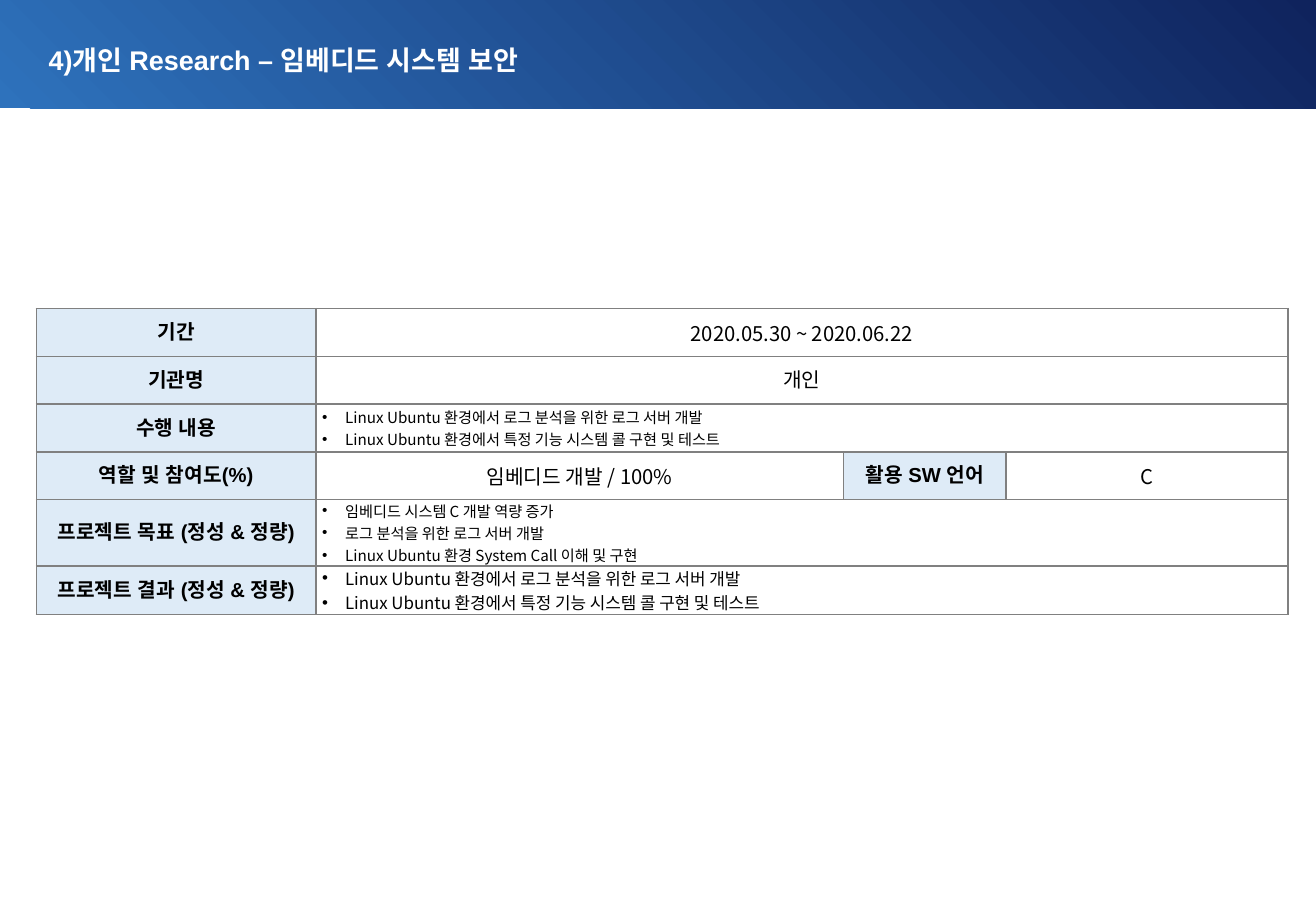
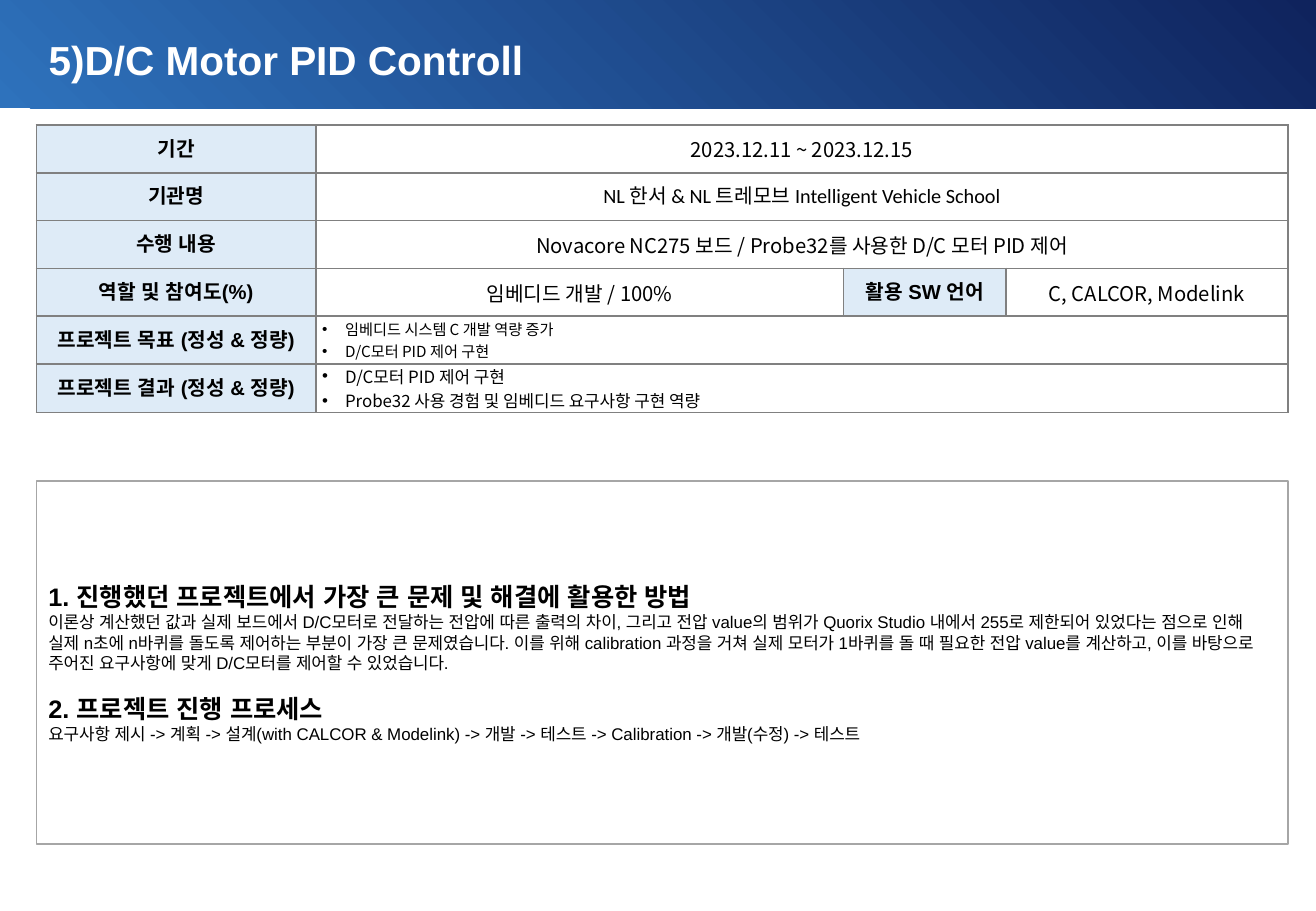
from dataclasses import dataclass

from lxml import etree
from pptx import Presentation
from pptx.dml.color import RGBColor
from pptx.enum.shapes import MSO_SHAPE
from pptx.enum.text import MSO_ANCHOR, MSO_AUTO_SIZE, PP_ALIGN
from pptx.oxml.ns import qn
from pptx.util import Inches, Pt

RECT = MSO_SHAPE.RECTANGLE
MID = MSO_ANCHOR.MIDDLE
FIXED = MSO_AUTO_SIZE.NONE
LEFT, CENTER, FULL = PP_ALIGN.LEFT, PP_ALIGN.CENTER, PP_ALIGN.JUSTIFY

WIDE, HIGH = 10.83, 7.5
EDGE = 0.3
COLS = (2.3, 4.34, 1.34, 2.32)
ROW = 2.36 / 6


@dataclass(frozen=True)
class Theme:
    light: str = "2E72BC"
    dark: str = "0F235D"
    head: str = "DEEBF7"
    white: str = "FFFFFF"
    black: str = "000000"
    grid: str = "808080"
    frame: str = "A6A6A6"
    main: str = "Arial"
    cell: str = "Noto Sans CJK KR"
    alt: str = "Calibri"
    label: int = 12
    topic: int = 15
    note: int = 10
    small: int = 9


THEME = Theme()


def rgb(code):
    return RGBColor.from_string(code)


def put(item, **vals):
    for name, val in vals.items():
        setattr(item, name, val)


class Deck:
    def __init__(self, theme):
        self.theme = theme
        self.prs = Presentation()
        put(self.prs, slide_width=Inches(WIDE), slide_height=Inches(HIGH))
        self.base = self.prs.slide_layouts[5]
        put(self.base.placeholders[0], left=Inches(EDGE), top=Inches(0.21),
            width=Inches(8.58), height=Inches(0.56))
        self.slide = None

    def page(self, title, size):
        """Start a slide with its title."""
        self.slide = self.prs.slides.add_slide(self.base)
        if len(self.prs.slides) == 1:
            self.band()
        frame = self.slide.shapes.title.text_frame
        put(frame, word_wrap=True, auto_size=FIXED, vertical_anchor=MID)
        para = frame.paragraphs[0]
        para.alignment = LEFT
        self.text(para, title, size, bold=True, color=self.theme.white)

    def band(self):
        """Draw the header band and move it into the shared layout."""
        band = self.slide.shapes.add_shape(RECT, 0, 0, Inches(WIDE), Inches(0.89))
        band.shadow.inherit = False
        band.line.fill.background()
        band.fill.gradient()
        band.fill.gradient_angle = 45
        for stop, code in zip(band.fill.gradient_stops,
                              (self.theme.light, self.theme.dark)):
            stop.color.rgb = rgb(code)
        self.base.shapes.element.insert(2, band.element)

    def text(self, para, words, size, font=None, bold=False, color=None):
        """Add a run whose Latin and East Asian fonts agree."""
        font = font or self.theme.main
        run = para.add_run()
        run.text = words
        put(run.font, size=Pt(size), name=font, bold=bold)
        run.font.color.rgb = rgb(color or self.theme.black)
        east = etree.SubElement(run._r.get_or_add_rPr(), qn("a:ea"))
        east.set("typeface", font)

    def bullet(self, para):
        para.alignment = FULL
        props = para._p.get_or_add_pPr()
        props.set("marL", str(Inches(0.19)))
        props.set("indent", str(-Inches(0.19)))
        etree.SubElement(props, qn("a:buFont")).set("typeface", self.theme.main)
        etree.SubElement(props, qn("a:buChar")).set("char", "•")

    def style(self, cell, fill):
        """Give a cell its borders, fill and margins."""
        props = cell._tc.get_or_add_tcPr()
        for side in ("lnL", "lnR", "lnT", "lnB"):
            line = etree.SubElement(props, qn(f"a:{side}"), w=str(Pt(1)))
            paint = etree.SubElement(line, qn("a:solidFill"))
            etree.SubElement(paint, qn("a:srgbClr"), val=self.theme.grid)
        cell.fill.solid()
        cell.fill.fore_color.rgb = rgb(fill)
        put(cell, vertical_anchor=MID, margin_top=0, margin_bottom=0,
            margin_left=Inches(0.05), margin_right=Inches(0.05))

    def fill(self, cell, words, head=False, font=None, size=None):
        """Write a centred line, or a bullet list if words is a list."""
        frame = cell.text_frame
        if isinstance(words, list):
            for i, item in enumerate(words):
                para = frame.add_paragraph() if i else frame.paragraphs[0]
                self.bullet(para)
                self.text(para, item, size or self.theme.small, self.theme.cell)
            return
        para = frame.paragraphs[0]
        para.alignment = CENTER
        face = self.theme.main if head else font or self.theme.cell
        self.text(para, words, self.theme.label, face, head)

    def table(self, top, term, group, work, role, lang, goals, ends):
        """Lay out one project summary."""
        rows = (("기간", term, {}),
                ("기관명", group, {"font": self.theme.alt}),
                ("수행 내용", work, {}),
                ("역할 및 참여도(%)", role, {}),
                ("프로젝트 목표 (정성 & 정량)", goals, {}),
                ("프로젝트 결과 (정성 & 정량)", ends, {"size": self.theme.note}))
        grid = self.slide.shapes.add_table(
            len(rows), len(COLS), Inches(EDGE), Inches(top),
            Inches(sum(COLS)), Inches(ROW * len(rows))).table
        put(grid, first_row=False, horz_banding=False)
        for col, width in zip(grid.columns, COLS):
            col.width = Inches(width)
        split = 3
        for r, (label, words, form) in enumerate(rows):
            grid.rows[r].height = Inches(ROW)
            for c in range(len(COLS)):
                head = c == 0 or (r == split and c == 2)
                self.style(grid.cell(r, c),
                           self.theme.head if head else self.theme.white)
            self.fill(grid.cell(r, 0), label, head=True)
            self.fill(grid.cell(r, 1), words, **form)
            if r != split:
                grid.cell(r, 1).merge(grid.cell(r, 3))
        self.fill(grid.cell(split, 2), "활용 SW 언어", head=True)
        self.fill(grid.cell(split, 3), lang)

    def panel(self, top, high, parts):
        """Draw a framed box of headed paragraphs."""
        box = self.slide.shapes.add_shape(
            RECT, Inches(EDGE), Inches(top), Inches(sum(COLS)), Inches(high))
        box.shadow.inherit = False
        box.fill.background()
        box.line.color.rgb = rgb(self.theme.frame)
        box.line.width = Pt(1)
        frame = box.text_frame
        put(frame, word_wrap=True, vertical_anchor=MID)
        for i, (topic, body) in enumerate(parts):
            para = frame.add_paragraph() if i else frame.paragraphs[0]
            para.alignment = LEFT
            if i:
                para.space_before = Pt(12)
            self.text(para, topic, self.theme.topic, bold=True)
            para = frame.add_paragraph()
            para.alignment = LEFT
            self.text(para, body, self.theme.note)


def main():
    deck = Deck(THEME)
    role = "임베디드 개발 / 100%"
    skill = "임베디드 시스템 C 개발 역량 증가"

    deck.page("4)개인 Research – 임베디드 시스템 보안", 16)
    tasks = ["Linux Ubuntu 환경에서 로그 분석을 위한 로그 서버 개발",
             "Linux Ubuntu 환경에서 특정 기능 시스템 콜 구현 및 테스트"]
    deck.table(2.54, "2020.05.30 ~ 2020.06.22", "개인", tasks, role, "C",
               [skill, "로그 분석을 위한 로그 서버 개발",
                "Linux Ubuntu 환경 System Call 이해 및 구현"],
               tasks)

    deck.page("5)D/C Motor PID Controll", 24)
    motor = "D/C모터 PID 제어 구현"
    deck.table(1.03, "2023.12.11 ~ 2023.12.15",
               "NL 한서 & NL 트레모브 Intelligent Vehicle School",
               "Novacore NC275 보드 / Probe32를 사용한 D/C 모터 PID 제어",
               role, "C, CALCOR, Modelink", [skill, motor],
               [motor, "Probe32 사용 경험 및 임베디드 요구사항 구현 역량"])
    deck.panel(3.96, 2.99, (
        ("1. 진행했던 프로젝트에서 가장 큰 문제 및 해결에 활용한 방법",
         "이론상 계산했던 값과 실제 보드에서 D/C모터로 전달하는 전압에 따른 출력의 차이, "
         "그리고 전압 value의 범위가 Quorix Studio 내에서 255로 제한되어 있었다는 점으로 "
         "인해 실제 n초에 n바퀴를 돌도록 제어하는 부분이 가장 큰 문제였습니다. "
         "이를 위해 calibration 과정을 거쳐 실제 모터가 1바퀴를 돌 때 필요한 전압 "
         "value를 계산하고, 이를 바탕으로 주어진 요구사항에 맞게 D/C모터를 제어할 수 "
         "있었습니다."),
        ("2. 프로젝트 진행 프로세스",
         "요구사항 제시 -> 계획 -> 설계(with CALCOR & Modelink) -> 개발 -> 테스트 -> "
         "Calibration -> 개발(수정) -> 테스트")))

    deck.prs.save("out.pptx")


if __name__ == "__main__":
    main()
